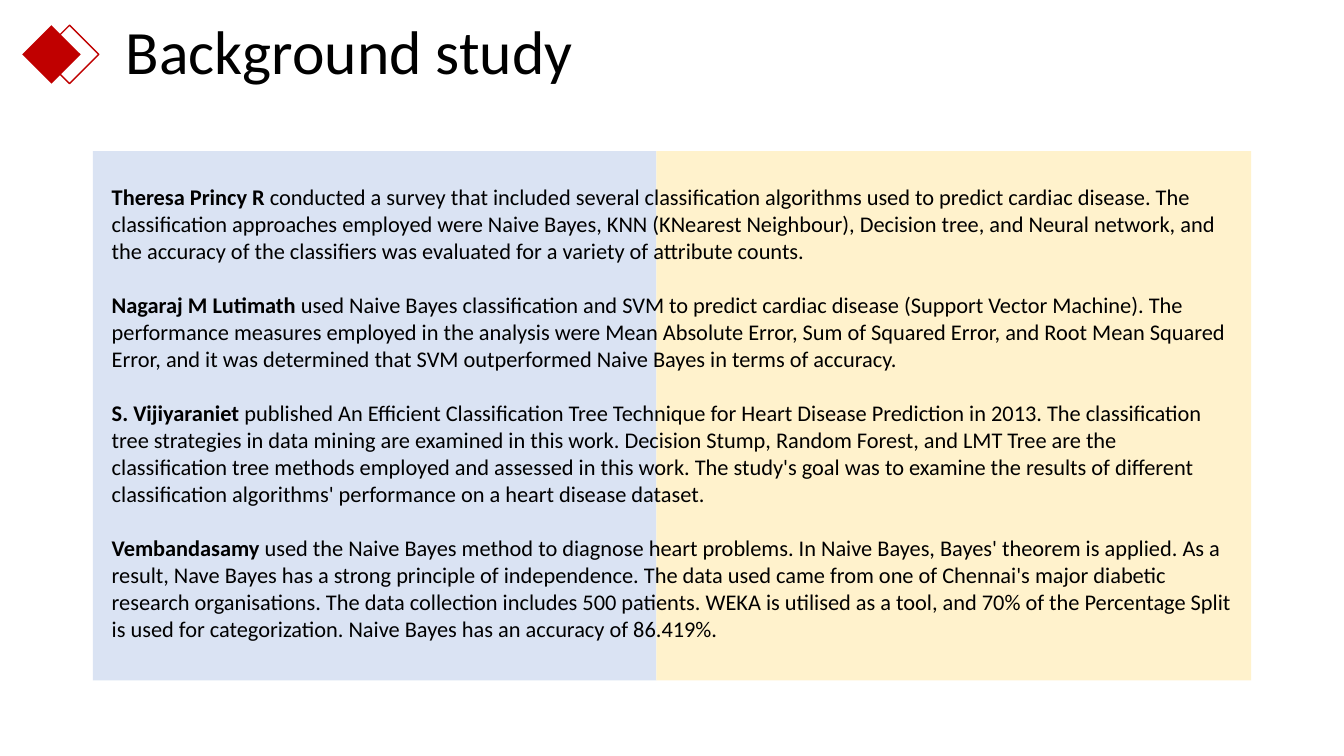
from dataclasses import dataclass
from typing import Optional

from pptx import Presentation
from pptx.dml.color import RGBColor
from pptx.enum.shapes import MSO_SHAPE as SHAPE
from pptx.enum.text import MSO_ANCHOR as ANCHOR
from pptx.util import Inches, Pt

BLACK = RGBColor(0x00, 0x00, 0x00)
BLUE = RGBColor(0xDA, 0xE3, 0xF3)
CREAM = RGBColor(0xFF, 0xF2, 0xCC)
RED = RGBColor(0xC0, 0x00, 0x00)
FONT = "Calibri"


@dataclass
class Block:
    kind: SHAPE
    left: float
    top: float
    width: float
    height: float
    fill: Optional[RGBColor] = None
    line: Optional[RGBColor] = None


@dataclass
class Study:
    author: str
    summary: str


PANELS = [
    Block(SHAPE.RECTANGLE, 0.92, 1.5, 5.59, 5.25, fill=BLUE),
    Block(SHAPE.RECTANGLE, 6.51, 1.5, 5.9, 5.25, fill=CREAM),
]
DIAMONDS = [
    Block(SHAPE.DIAMOND, 0.4, 0.25, 0.58, 0.58, line=RED),
    Block(SHAPE.DIAMOND, 0.22, 0.25, 0.58, 0.58, fill=RED),
]
STUDIES = [
    Study("Theresa Princy R",
          " conducted a survey that included several classification algorithms used to "
          "predict cardiac disease. The classification approaches employed were Naive "
          "Bayes, KNN (KNearest Neighbour), Decision tree, and Neural network, and the "
          "accuracy of the classifiers was evaluated for a variety of attribute counts."),
    Study("Nagaraj M Lutimath",
          " used Naive Bayes classification and SVM to predict cardiac disease (Support "
          "Vector Machine). The performance measures employed in the analysis were Mean "
          "Absolute Error, Sum of Squared Error, and Root Mean Squared Error, and it was "
          "determined that SVM outperformed Naive Bayes in terms of accuracy."),
    Study("S. Vijiyaraniet",
          " published An Efficient Classification Tree Technique for Heart Disease "
          "Prediction in 2013. The classification tree strategies in data mining are "
          "examined in this work. Decision Stump, Random Forest, and LMT Tree are the "
          "classification tree methods employed and assessed in this work. The study's "
          "goal was to examine the results of different classification algorithms' "
          "performance on a heart disease dataset."),
    Study("Vembandasamy",
          " used the Naive Bayes method to diagnose heart problems. In Naive Bayes, Bayes' "
          "theorem is applied. As a result, Nave Bayes has a strong principle of "
          "independence. The data used came from one of Chennai's major diabetic research "
          "organisations. The data collection includes 500 patients. WEKA is utilised as a "
          "tool, and 70% of the Percentage Split is used for categorization. Naive Bayes "
          "has an accuracy of 86.419%."),
]


def add_block(slide, block: Block) -> None:
    sp = slide.shapes.add_shape(block.kind, Inches(block.left), Inches(block.top),
                                Inches(block.width), Inches(block.height))
    sp.shadow.inherit = False
    if block.fill is None:
        sp.fill.background()
    else:
        sp.fill.solid()
        sp.fill.fore_color.rgb = block.fill
    if block.line is None:
        sp.line.fill.background()
    else:
        sp.line.color.rgb = block.line
        sp.line.width = Pt(1)


def add_text_frame(slide, left: float, top: float, width: float, height: float):
    box = slide.shapes.add_textbox(Inches(left), Inches(top), Inches(width), Inches(height))
    tf = box.text_frame
    tf.word_wrap = True
    return tf


def style_run(r, size: int, bold: bool = False) -> None:
    r.font.name = FONT
    r.font.size = Pt(size)
    r.font.bold = bold
    r.font.color.rgb = BLACK


def add_title(slide, text: str) -> None:
    tf = add_text_frame(slide, 1.15, -0.18, 11.5, 1.45)
    tf.vertical_anchor = ANCHOR.MIDDLE
    tf.text = text
    p = tf.paragraphs[0]
    p.line_spacing = 0.9
    style_run(p.runs[0], 44)


def add_studies(slide, studies: list[Study]) -> None:
    tf = add_text_frame(slide, 1.01, 1.5, 11.31, 4.95)
    tf.margin_top = Inches(0.32)
    for i, study in enumerate(studies):
        p = tf.add_paragraph() if i else tf.paragraphs[0]
        if i:
            p.space_before = Pt(19.5)
        for text, bold in ((study.author, True), (study.summary, False)):
            r = p.add_run()
            r.text = text
            style_run(r, 16, bold)


def main() -> None:
    prs = Presentation()
    prs.slide_width, prs.slide_height = Inches(13.33), Inches(7.5)
    slide = prs.slides.add_slide(prs.slide_layouts[6])

    # Title
    add_title(slide, "Background study")

    # Two-colour background with the studies on top
    for panel in PANELS:
        add_block(slide, panel)
    add_studies(slide, STUDIES)

    # Diamond ornament beside the title
    for diamond in DIAMONDS:
        add_block(slide, diamond)

    prs.save("out.pptx")


if __name__ == "__main__":
    main()
